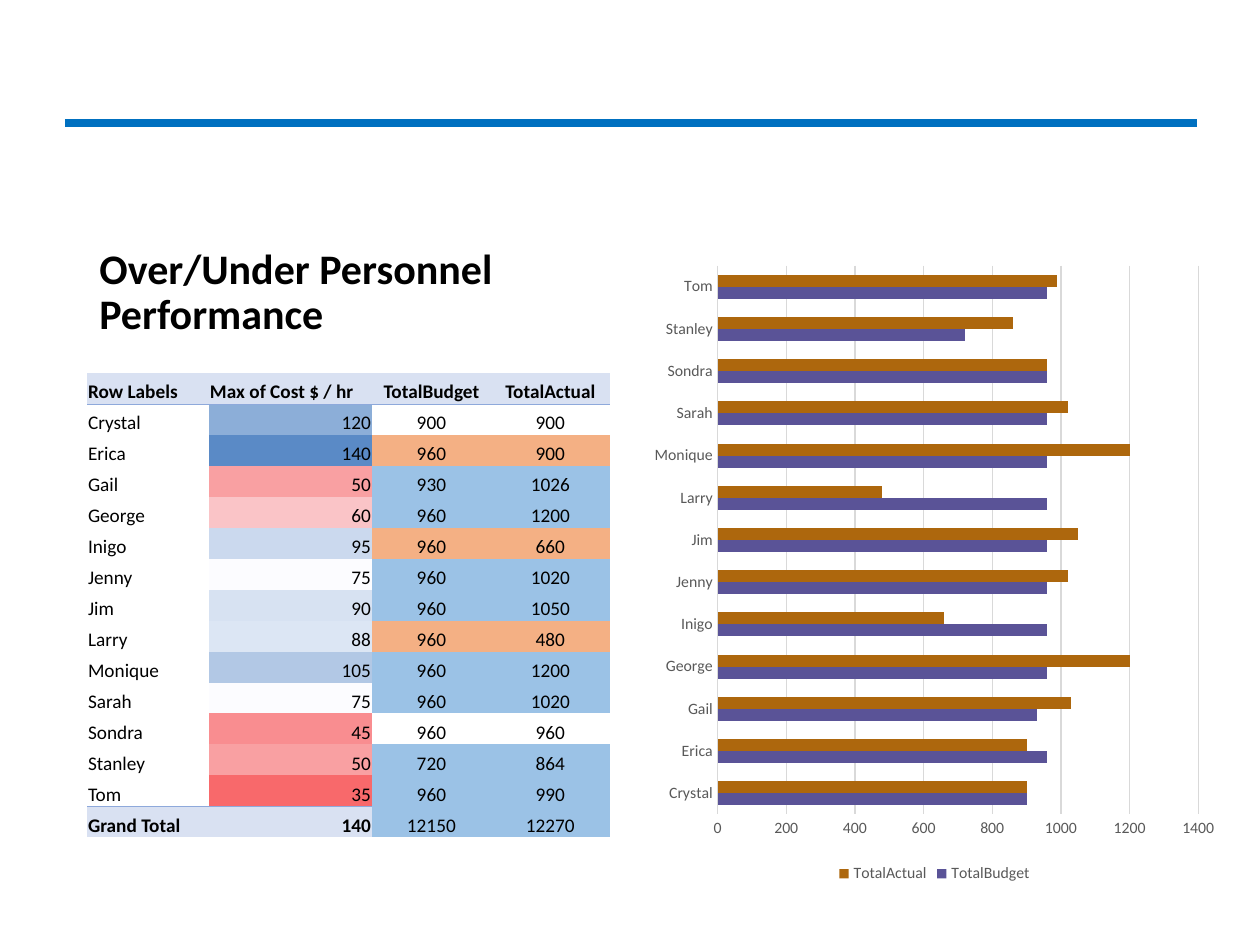
from lxml import etree
from pptx import Presentation
from pptx.chart.data import CategoryChartData
from pptx.dml.color import RGBColor
from pptx.enum.chart import XL_CHART_TYPE, XL_LEGEND_POSITION, XL_TICK_MARK
from pptx.enum.shapes import MSO_CONNECTOR
from pptx.enum.text import MSO_ANCHOR, PP_ALIGN
from pptx.oxml import parse_xml
from pptx.oxml.ns import qn
from pptx.util import Emu, Pt

BAR_CLUSTERED = XL_CHART_TYPE.BAR_CLUSTERED
LEGEND_BOTTOM = XL_LEGEND_POSITION.BOTTOM
NO_TICK = XL_TICK_MARK.NONE
STRAIGHT = MSO_CONNECTOR.STRAIGHT
BOTTOM = MSO_ANCHOR.BOTTOM
LEFT, CENTER, RIGHT = PP_ALIGN.LEFT, PP_ALIGN.CENTER, PP_ALIGN.RIGHT

SCALE = 914400 // 126
FONT = "Calibri"
PLAIN_TABLE_STYLE = "{2D5ABB26-0587-4C30-8999-92F81FD0307C}"
DRAWING_NS = "http://schemas.openxmlformats.org/drawingml/2006/main"
BAND = "D9E1F2"
RULE = "8EA9DB"
OVER, UNDER = "9BC2E6", "F4B084"
LOW_COST, MID_COST, HIGH_COST = (35, "F8696B"), (75, "FCFCFF"), (140, "5A8AC6")

HEADINGS = ("Row Labels", "Max of Cost $ / hr", "TotalBudget", "TotalActual")
STAFF = [
    ("Crystal", 120, 900, 900),
    ("Erica", 140, 960, 900),
    ("Gail", 50, 930, 1026),
    ("George", 60, 960, 1200),
    ("Inigo", 95, 960, 660),
    ("Jenny", 75, 960, 1020),
    ("Jim", 90, 960, 1050),
    ("Larry", 88, 960, 480),
    ("Monique", 105, 960, 1200),
    ("Sarah", 75, 960, 1020),
    ("Sondra", 45, 960, 960),
    ("Stanley", 50, 720, 864),
    ("Tom", 35, 960, 990),
]
GRAND_TOTAL = ("Grand Total", 140, 12150, 12270)


def px(length):
    return Emu(length * SCALE)


def color(value):
    return RGBColor.from_string(value)


def set_font(font, size, hex_color, bold=False):
    values = {"name": FONT, "size": Pt(size), "bold": bold}
    for name, value in values.items():
        setattr(font, name, value)
    font.color.rgb = color(hex_color)


def blend(start, end, cost):
    share = (cost - start[0]) / (end[0] - start[0])
    pairs = zip(color(start[1]), color(end[1]))
    return str(RGBColor(*(low + int((high - low) * share) for low, high in pairs)))


def cost_fill(cost):
    if cost < MID_COST[0]:
        return blend(LOW_COST, MID_COST, cost)
    return blend(MID_COST, HIGH_COST, cost)


def variance_fill(budget, actual):
    if actual == budget:
        return None
    return OVER if actual > budget else UNDER


def add_rule(page, left, top, width):
    line = page.shapes.add_connector(
        STRAIGHT, px(left), px(top), px(left + width), px(top))
    line.line.color.rgb = color("0070C0")
    line.line.width = Pt(4.5)
    etree.SubElement(line._element.spPr, qn("a:effectLst"))


def add_title(page, left, top, width, height, text):
    box = page.shapes.add_textbox(px(left), px(top), px(width), px(height))
    frame = box.text_frame
    frame.word_wrap = True
    frame.vertical_anchor = BOTTOM
    para = frame.paragraphs[0]
    para.line_spacing = 0.9
    span = para.add_run()
    span.text = text
    set_font(span.font, 24, "000000", True)


def add_bottom_border(cell):
    cell._tc.get_or_add_tcPr().append(parse_xml(
        f'<a:lnB xmlns:a="{DRAWING_NS}" w="6350"><a:solidFill>'
        f'<a:srgbClr val="{RULE}"/></a:solidFill></a:lnB>'))


def fill_cell(cell, text, align, bold, fill, underlined):
    values = {"margin_left": px(1), "margin_right": px(1), "margin_top": px(1),
              "margin_bottom": 0, "vertical_anchor": BOTTOM}
    for name, value in values.items():
        setattr(cell, name, value)
    para = cell.text_frame.paragraphs[0]
    para.alignment = align
    span = para.add_run()
    span.text = str(text)
    set_font(span.font, 11, "000000", bold)
    if underlined:
        add_bottom_border(cell)
    if fill:
        cell.fill.solid()
        cell.fill.fore_color.rgb = color(fill)
    else:
        cell.fill.background()


def add_staff_table(page, left, top, widths, row_height):
    rows = [HEADINGS, *STAFF, GRAND_TOTAL]
    last = len(rows) - 1
    table = page.shapes.add_table(
        len(rows), len(widths), px(left), px(top),
        px(sum(widths)), px(row_height * len(rows))).table
    table.first_row = table.horz_banding = False
    next(table._tbl.iter(qn("a:tableStyleId"))).text = PLAIN_TABLE_STYLE
    for column, width in zip(table.columns, widths):
        column.width = px(width)
    for index, values in enumerate(rows):
        table.rows[index].height = px(row_height)
        header, total = index == 0, index == last
        if header:
            fills = [BAND] * 4
        else:
            variance = variance_fill(*values[2:])
            label = BAND if total else None
            cost = BAND if total else cost_fill(values[1])
            fills = [label, cost, variance, variance]
        aligns = (LEFT, LEFT if header else RIGHT, CENTER, CENTER)
        for column, text in enumerate(values):
            in_label = column < 2
            bold = header or (total and in_label)
            underlined = header or (index == last - 1 and in_label)
            fill_cell(table.cell(index, column), text, aligns[column],
                      bold, fills[column], underlined)


def style_axis(axis):
    values = {"major_tick_mark": NO_TICK, "minor_tick_mark": NO_TICK}
    for name, value in values.items():
        setattr(axis, name, value)
    axis.format.line.fill.background()
    set_font(axis.tick_labels.font, 9, "595959")


def add_hours_chart(page, left, top, width, height):
    names, _, budgets, actuals = zip(*STAFF)
    data = CategoryChartData()
    data.categories = names
    for name, hours in (("TotalBudget", budgets), ("TotalActual", actuals)):
        data.add_series(name, [round(value, -1) for value in hours])
    chart = page.shapes.add_chart(
        BAR_CLUSTERED, px(left), px(top), px(width), px(height), data).chart
    set_font(chart.font, 10, "000000")
    chart.has_title = False
    chart.has_legend = True
    chart.legend.position = LEGEND_BOTTOM
    chart.legend.include_in_layout = False
    set_font(chart.legend.font, 9, "595959")
    plot = chart.plots[0]
    for name, value in {"gap_width": 150, "overlap": 0, "vary_by_categories": False}.items():
        setattr(plot, name, value)
    for series, fill in zip(plot.series, ("5A5397", "AD670D")):
        series.format.fill.solid()
        series.format.fill.fore_color.rgb = color(fill)
    style_axis(chart.category_axis)
    axis = chart.value_axis
    style_axis(axis)
    scale = {"minimum_scale": 0, "maximum_scale": 1400, "major_unit": 200,
             "has_major_gridlines": True}
    for name, value in scale.items():
        setattr(axis, name, value)
    axis.major_gridlines.format.line.color.rgb = color("D9D9D9")
    axis.major_gridlines.format.line.width = Pt(0.75)


def main():
    deck = Presentation()
    deck.slide_width, deck.slide_height = px(1260), px(945)
    page = deck.slides.add_slide(deck.slide_layouts[6])
    add_rule(page, 65, 123, 1132)
    add_title(page, 87, 232, 533, 113, "Over/Under Personnel Performance")
    add_staff_table(page, 87, 373, (122, 163, 119, 119), 31)
    add_hours_chart(page, 643, 253, 583, 635)
    deck.save("out.pptx")


if __name__ == "__main__":
    main()
